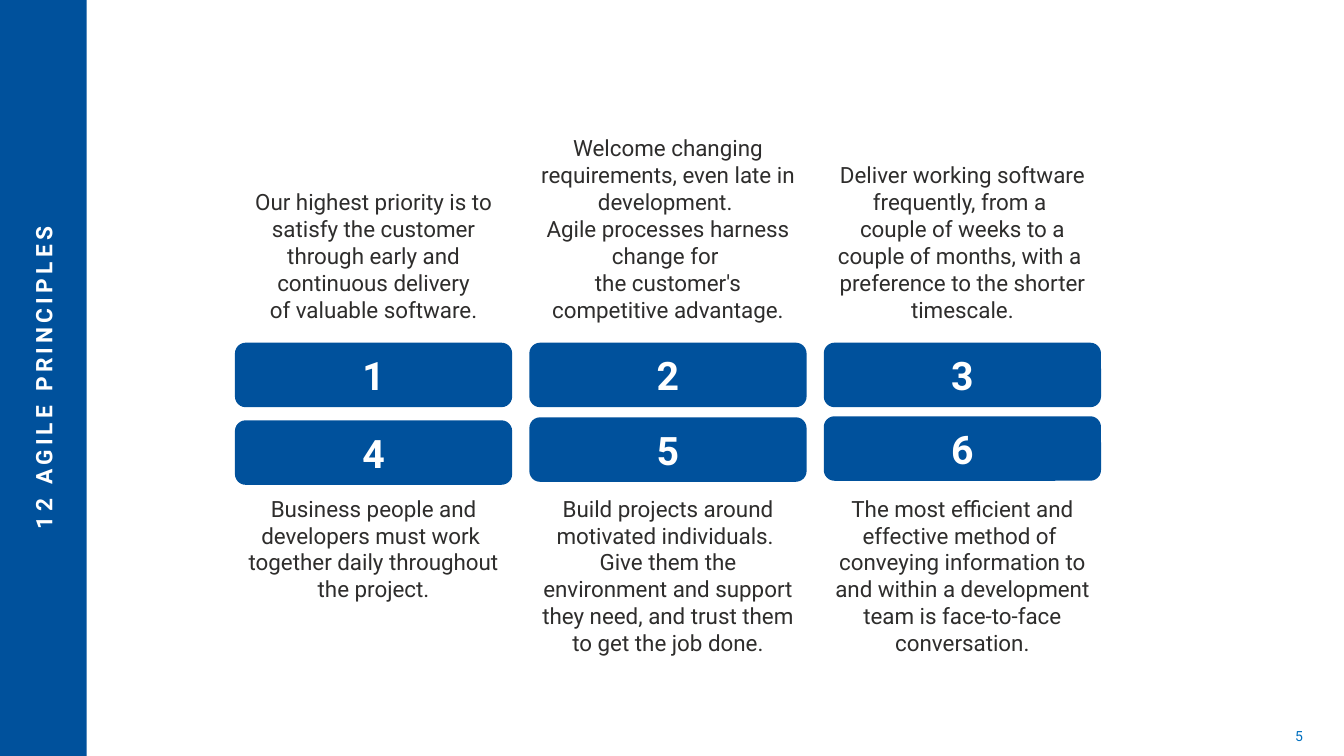
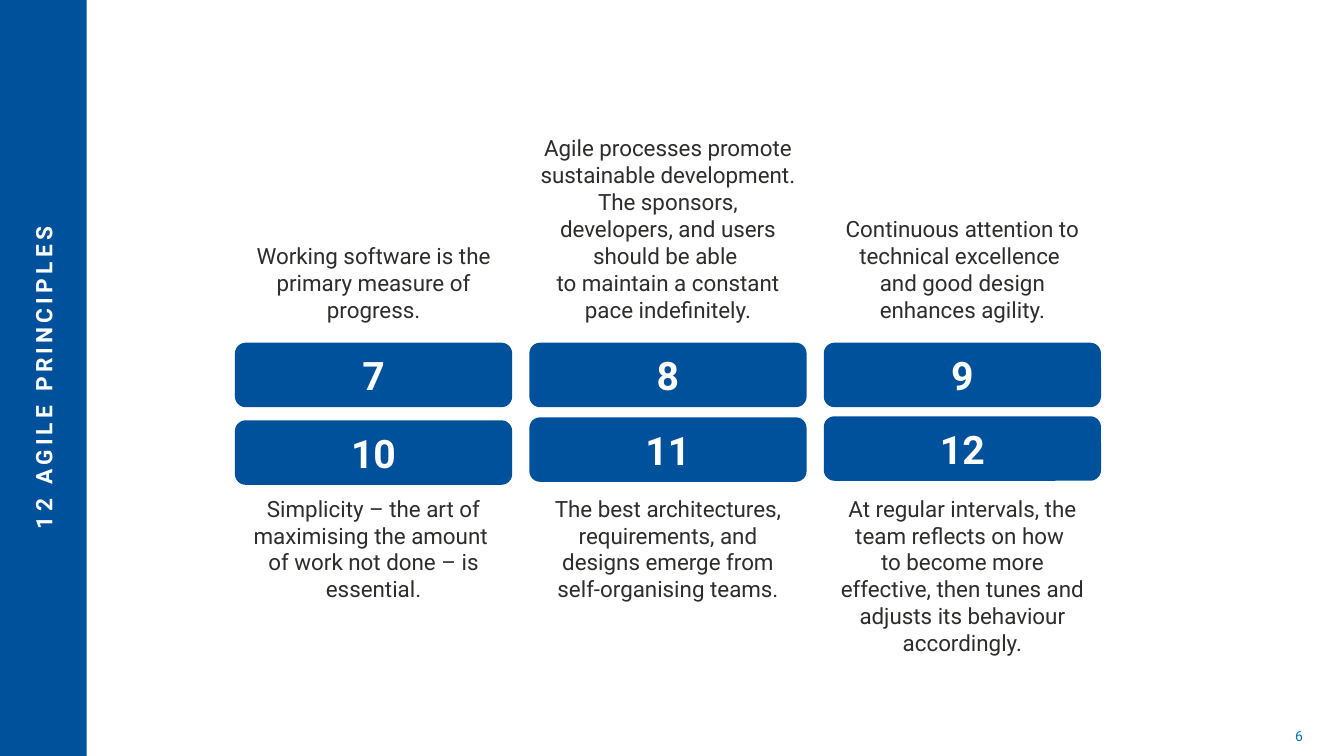
from dataclasses import dataclass

from lxml import etree
from pptx import Presentation
from pptx.dml.color import RGBColor
from pptx.enum.shapes import MSO_SHAPE
from pptx.enum.text import MSO_ANCHOR, MSO_AUTO_SIZE, PP_ALIGN
from pptx.oxml.ns import qn
from pptx.util import Inches, Pt

RECT = MSO_SHAPE.RECTANGLE
ROUNDED = MSO_SHAPE.ROUNDED_RECTANGLE
TOP, MIDDLE, BOTTOM = MSO_ANCHOR.TOP, MSO_ANCHOR.MIDDLE, MSO_ANCHOR.BOTTOM
CENTER, RIGHT = PP_ALIGN.CENTER, PP_ALIGN.RIGHT
GROW = MSO_AUTO_SIZE.SHAPE_TO_FIT_TEXT

FONT = "Roboto"
BLUE, PAGE_BLUE, INK, WHITE = "00519C", "0070C0", "2E2D2C", "FFFFFF"
TITLE = "12 AGILE PRINCIPLES"
COLUMNS = 3
LEFT, STEP, WIDTH = 2.33, 2.92, 2.75
BUTTON_HEIGHT = 0.64
BUTTON_TOPS = ((3.4, 3.4, 3.4), (4.17, 4.14, 4.13))
UPPER_TEXT_BOTTOM, LOWER_TEXT_TOP = 3.25, 4.86
LINE_HEIGHT, TEXT_PADDING = 0.27, 0.1
FIRST_PAGE = 5


@dataclass
class Principle:
    lines: int
    paragraphs: tuple[str, ...]


PAGES = (
    (
        Principle(5, ("Our highest priority is to satisfy the customer\nthrough early and "
                      "continuous delivery\nof valuable software.",)),
        Principle(7, ("Welcome changing requirements, even late in development. ",
                      "Agile processes harness change for \nthe customer's competitive advantage.")),
        Principle(6, ("Deliver working software frequently, from a \ncouple of weeks to a couple "
                      "of months, with a \npreference to the shorter timescale.",)),
        Principle(4, ("Business people and developers must work \ntogether daily throughout "
                      "the project.",)),
        Principle(6, ("Build projects around motivated individuals. \nGive them the environment "
                      "and support they need, and trust them to get the job done.",)),
        Principle(7, ("The most efficient and effective method of \nconveying information to and "
                      "within a development ",
                      "team is face-to-face conversation.")),
    ),
    (
        Principle(3, ("Working software is the primary measure of progress.",)),
        Principle(7, ("Agile processes promote sustainable development.\nThe sponsors, developers, "
                      "and users should be able \nto maintain a constant pace indefinitely.",)),
        Principle(4, ("Continuous attention to technical excellence \nand good design "
                      "enhances agility.",)),
        Principle(4, ("Simplicity – the art of maximising the amount \nof work not done – is "
                      "essential.",)),
        Principle(4, ("The best architectures, requirements, and designs emerge from "
                      "self-organising teams.",)),
        Principle(6, ("At regular intervals, the team reflects on how \nto become more effective, "
                      "then tunes and adjusts its behaviour accordingly.",)),
    ),
)


def rgb(color: str) -> RGBColor:
    return RGBColor.from_string(color)


def style(p, size: float, color: str, bold: bool = False, align=CENTER) -> None:
    p.alignment = align
    p.font.name = FONT
    p.font.size = Pt(size)
    p.font.bold = bold
    p.font.color.rgb = rgb(color)


def add_block(s, kind, left: float, top: float, width: float, height: float):
    sp = s.shapes.add_shape(kind, Inches(left), Inches(top), Inches(width), Inches(height))
    sp.shadow.inherit = False
    sp.fill.solid()
    sp.fill.fore_color.rgb = rgb(BLUE)
    sp.line.fill.background()
    return sp


def add_box(s, left: float, top: float, width: float, height: float, anchor):
    sp = s.shapes.add_textbox(Inches(left), Inches(top), Inches(width), Inches(height))
    sp.text_frame.word_wrap = True
    sp.text_frame.vertical_anchor = anchor
    return sp


def add_frame(s, page: int) -> None:
    add_block(s, RECT, 0, 0, 0.86, 7.5)

    title = add_box(s, -3.41, 3.59, 7.68, 0.32, MIDDLE)
    title.rotation = 270
    p = title.text_frame.paragraphs[0]
    r = p.add_run()
    r.text = TITLE
    style(p, 16.2, WHITE, bold=True)
    r.font._element.set("spc", "300")

    p = add_box(s, 9.91, 7.1, 3.11, 0.4, MIDDLE).text_frame.paragraphs[0]
    style(p, 10, PAGE_BLUE, align=RIGHT)
    field = etree.SubElement(p._p, qn("a:fld"), type="slidenum",
                             id="{B6F15528-21DE-4FAA-801E-634DDDAF4B2B}")
    etree.SubElement(field, qn("a:rPr"), lang="en-GB")
    etree.SubElement(field, qn("a:t")).text = str(page)


def add_principle(s, principle: Principle, index: int, number: int) -> None:
    row, column = divmod(index, COLUMNS)
    left = LEFT + column * STEP

    button = add_block(s, ROUNDED, left, BUTTON_TOPS[row][column], WIDTH, BUTTON_HEIGHT)
    button.text_frame.vertical_anchor = MIDDLE
    p = button.text_frame.paragraphs[0]
    p.text = str(number)
    style(p, 28, WHITE, bold=True)

    height = TEXT_PADDING + principle.lines * LINE_HEIGHT
    top = LOWER_TEXT_TOP if row else UPPER_TEXT_BOTTOM - height
    tf = add_box(s, left, top, WIDTH, height, TOP if row else BOTTOM).text_frame
    tf.auto_size = GROW
    for i, text in enumerate(principle.paragraphs):
        p = tf.add_paragraph() if i else tf.paragraphs[0]
        p.text = text
        style(p, 16, INK)


def main() -> None:
    prs = Presentation()
    prs.slide_width, prs.slide_height = Inches(13.33), Inches(7.5)
    prs.element.set("firstSlideNum", str(FIRST_PAGE))
    number = 1
    for page, principles in enumerate(PAGES, FIRST_PAGE):
        s = prs.slides.add_slide(prs.slide_layouts[6])
        add_frame(s, page)
        for index, principle in enumerate(principles):
            add_principle(s, principle, index, number)
            number += 1
    prs.save("out.pptx")


if __name__ == "__main__":
    main()
